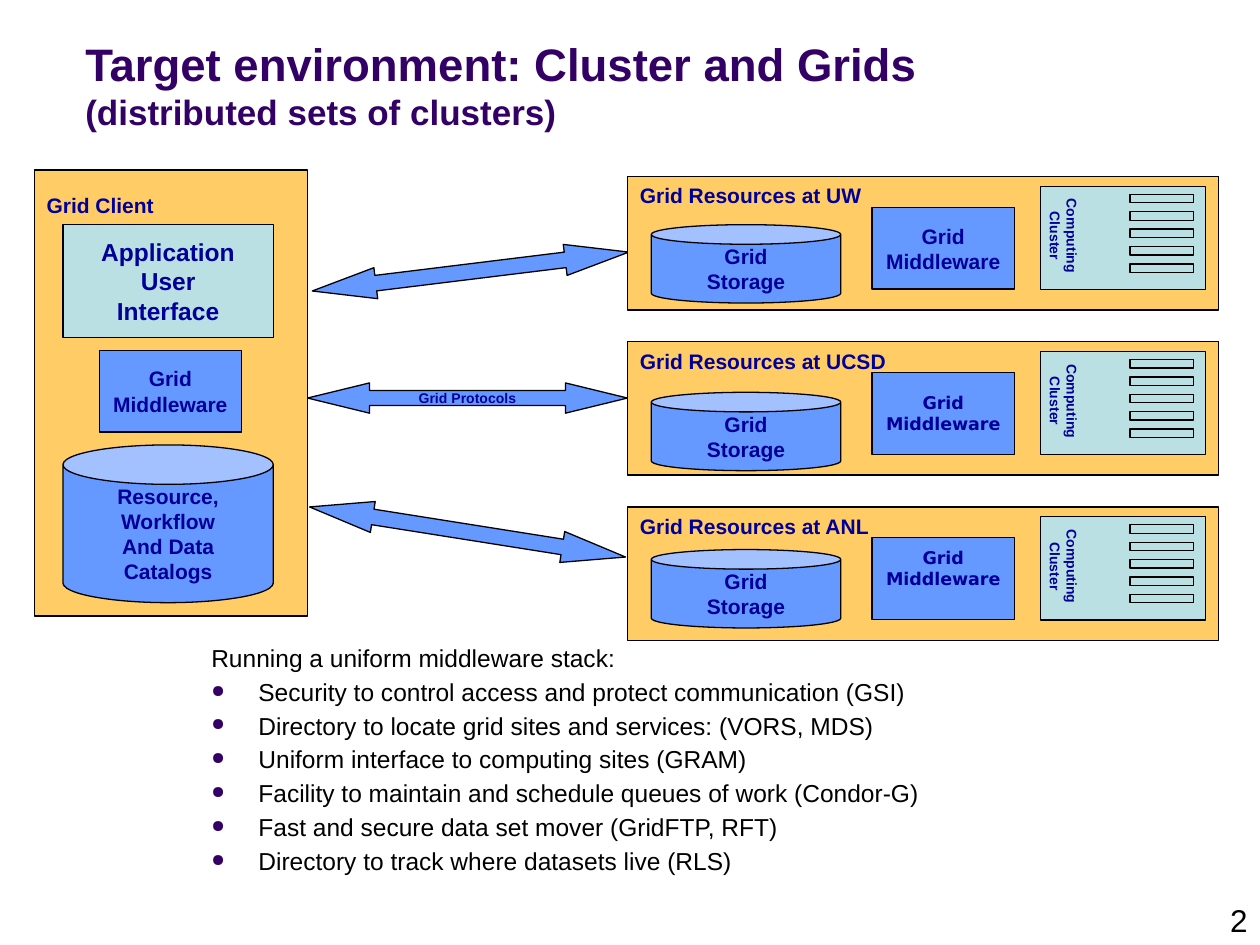
from lxml.etree import SubElement
from pptx import Presentation
from pptx.dml.color import RGBColor
from pptx.enum.shapes import MSO_SHAPE
from pptx.enum.text import MSO_ANCHOR, PP_ALIGN
from pptx.oxml.ns import qn
from pptx.util import Cm, Pt

BLACK = RGBColor(0x00, 0x00, 0x00)
NAVY = RGBColor(0x00, 0x00, 0x99)
PURPLE = RGBColor(0x33, 0x00, 0x66)
BLUE = RGBColor(0x66, 0x99, 0xFF)
GOLD = RGBColor(0xFF, 0xCC, 0x66)
TEAL = RGBColor(0xBB, 0xE0, 0xE3)

TITLE = "Target environment: Cluster and Grids\v(distributed sets of clusters)"
MIDDLE = "Grid\nMiddleware"
STORE = "Grid\nStorage"
CLUSTER = "Computing\nCluster"
SITES = [
    {"name": "UW", "can": 0.97, "size": 12, "font": "Arial", "foot": 0.13},
    {"name": "UCSD", "can": 1.02, "size": 10, "font": "DejaVu Sans", "foot": 0.13},
    {"name": "ANL", "can": 0.86, "size": 10, "font": "DejaVu Sans", "foot": 0.56},
]
ARROWS = [
    (6.27, 5.16, 6.43, 0.63, 353, ""),
    (6.2, 7.72, 6.45, 0.61, 0, "Grid Protocols"),
    (6.2, 10.41, 6.45, 0.63, 9, ""),
]
INTRO = "Running a uniform middleware stack:"
POINTS = [
    "Security to control access and protect communication (GSI)",
    "Directory to locate grid sites and services: (VORS, MDS)",
    "Uniform interface to computing sites (GRAM)",
    "Facility to maintain and schedule queues of work (Condor-G)",
    "Fast and secure data set mover (GridFTP, RFT)",
    "Directory to track where datasets live (RLS)",
]
SITE_TOP, SITE_STEP = 3.56, 3.33
BARS, BAR_STEP = 5, 0.35


def write(shape, text, size=12, font="Arial", color=NAVY, bold=True,
          align=PP_ALIGN.CENTER, anchor=MSO_ANCHOR.MIDDLE, wrap=False,
          pad=(0.25, 0.13, 0.25, 0.13), gap=None, space=None):
    frame = shape.text_frame
    frame.text = text
    frame.word_wrap = wrap
    frame.vertical_anchor = anchor
    frame.margin_left, frame.margin_top, frame.margin_right, frame.margin_bottom = map(Cm, pad)
    for i, para in enumerate(frame.paragraphs):
        para.alignment = align
        if space:
            para.line_spacing = space
        if gap and i:
            para.space_before = Pt(gap)
        for run in para.runs:
            run.font.size = Pt(size)
            run.font.name = font
            run.font.bold = bold
            run.font.color.rgb = color
    return frame


def draw(home, kind, x, y, w, h, fill):
    shape = home.add_shape(kind, Cm(x), Cm(y), Cm(w), Cm(h))
    shape.shadow.inherit = False
    shape.fill.solid()
    shape.fill.fore_color.rgb = fill
    shape.line.color.rgb = BLACK
    shape.line.width = Pt(0.75)
    return shape


def add_dot(para):
    props = para._p.get_or_add_pPr()
    tint = SubElement(SubElement(props, qn("a:buClr")), qn("a:srgbClr"))
    tint.set("val", str(PURPLE))
    SubElement(props, qn("a:buSzPct")).set("val", "70000")
    SubElement(props, qn("a:buChar")).set("char", "●")


def add_site(home, top, site):
    frame = draw(home, MSO_SHAPE.RECTANGLE, 12.65, top, 11.92, 2.69, GOLD)
    write(frame, "Grid Resources at " + site["name"],
          align=PP_ALIGN.LEFT, anchor=MSO_ANCHOR.TOP)
    write(draw(home, MSO_SHAPE.CAN, 13.13, top + site["can"], 3.82, 1.58, BLUE), STORE)
    write(draw(home, MSO_SHAPE.RECTANGLE, 17.58, top + 0.62, 2.87, 1.65, BLUE), MIDDLE,
          size=site["size"], font=site["font"], pad=(0.25, 0.13, 0.25, site["foot"]))
    group = home.add_group_shape().shapes
    box = draw(group, MSO_SHAPE.RECTANGLE, 20.98, top + 0.2, 3.33, 2.08, TEAL)
    body = write(box, CLUSTER, size=8, anchor=MSO_ANCHOR.BOTTOM,
                 pad=(0.13, 0.25, 0.13, 0.25))
    body._txBody.bodyPr.set("vert", "eaVert")
    for i in range(BARS):
        draw(group, MSO_SHAPE.RECTANGLE, 22.78, top + 0.36 + i * BAR_STEP, 1.28, 0.17, TEAL)


def add_client(home):
    frame = draw(home, MSO_SHAPE.RECTANGLE, 0.69, 3.43, 5.51, 8.99, GOLD)
    write(frame, "Grid Client", align=PP_ALIGN.LEFT, anchor=MSO_ANCHOR.TOP,
          pad=(0.25, 0.46, 0.25, 0.13))
    write(draw(home, MSO_SHAPE.RECTANGLE, 1.27, 4.52, 4.24, 2.29, TEAL),
          "Application\nUser\nInterface", size=14)
    write(draw(home, MSO_SHAPE.RECTANGLE, 2, 7.06, 2.87, 1.65, BLUE), MIDDLE)
    write(draw(home, MSO_SHAPE.CAN, 1.27, 8.97, 4.24, 3.18, BLUE),
          "Resource,\nWorkflow\nAnd Data\nCatalogs")


def main():
    deck = Presentation()
    deck.slide_width, deck.slide_height = Cm(25.4), Cm(19.05)
    home = deck.slides.add_slide(deck.slide_layouts[6]).shapes

    title = home.add_textbox(Cm(1.47), Cm(-0.3), Cm(21.59), Cm(3.99))
    head = write(title, TITLE, size=26, color=PURPLE, align=PP_ALIGN.LEFT, wrap=True)
    head.paragraphs[0].runs[1].font.size = Pt(20)

    for x, y, w, h, turn, label in ARROWS:
        arrow = draw(home, MSO_SHAPE.LEFT_RIGHT_ARROW, x, y, w, h, BLUE)
        arrow.adjustments[0], arrow.adjustments[1] = 0.5, 2.05
        arrow.rotation = turn
        if label:
            write(arrow, label, size=8)

    for i, site in enumerate(SITES):
        add_site(home, SITE_TOP + i * SITE_STEP, site)
    add_client(home)

    stack = home.add_textbox(Cm(4.01), Cm(12.9), Cm(17.98), Cm(6.15))
    body = write(stack, "\n".join([INTRO] + POINTS), size=14, color=BLACK, bold=False,
                 align=PP_ALIGN.LEFT, anchor=MSO_ANCHOR.TOP, wrap=True, gap=4.2, space=0.9)
    for i, para in enumerate(body.paragraphs):
        props = para._p.get_or_add_pPr()
        props.set("marL", str(Cm(0.95)))
        props.set("indent", str(Cm(-0.95)))
        if i:
            add_dot(para)

    page = home.add_textbox(Cm(24.13), Cm(18.21), Cm(1.27), Cm(0.81))
    write(page, "2", size=18, color=BLACK, bold=False, align=PP_ALIGN.RIGHT,
          anchor=MSO_ANCHOR.TOP, wrap=True, space=0.74)

    deck.save("out.pptx")


if __name__ == "__main__":
    main()
